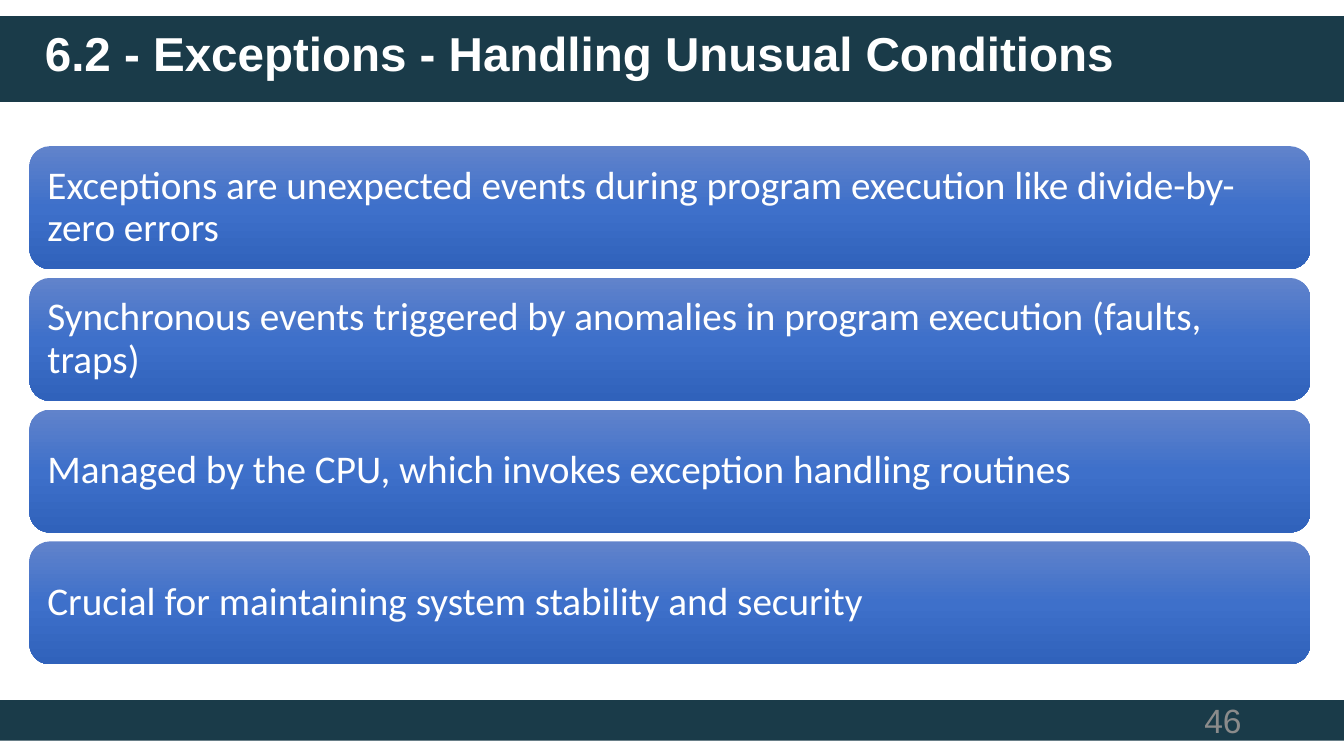
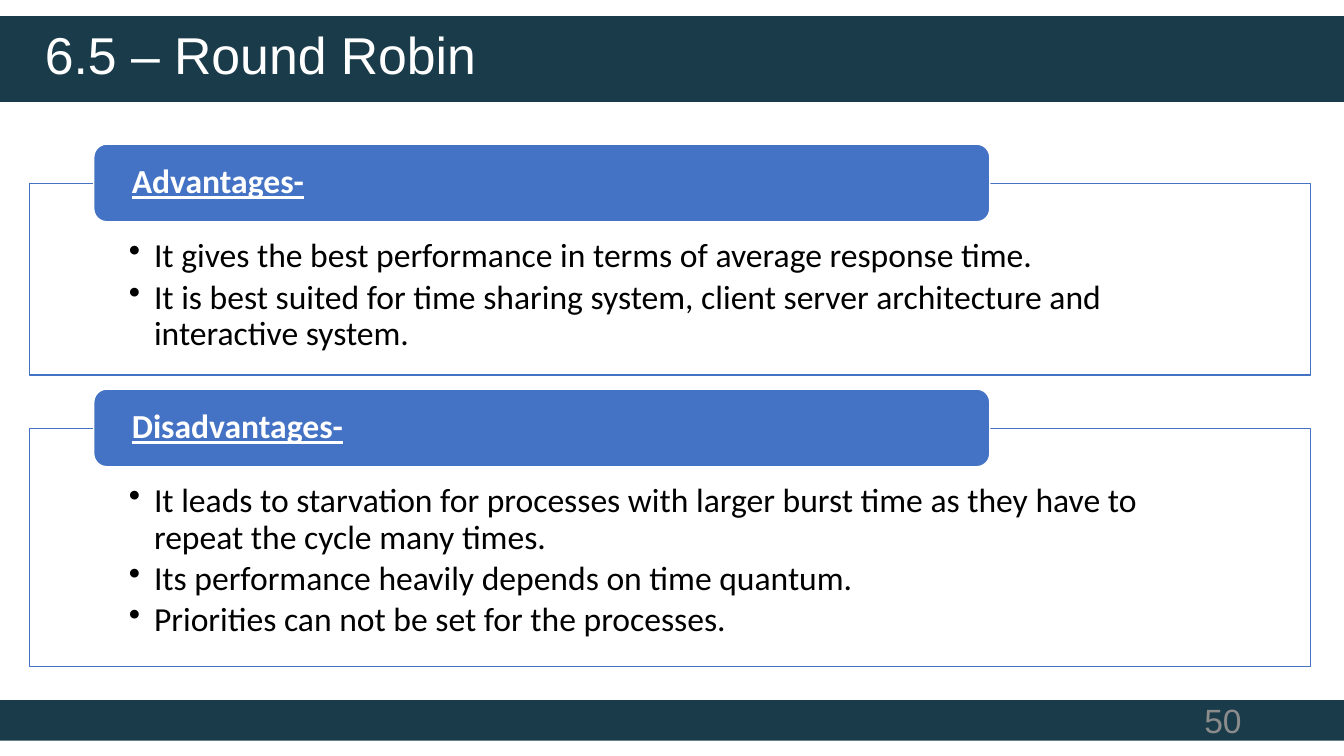
from copy import deepcopy

from lxml.etree import SubElement
from pptx import Presentation
from pptx.dml.color import RGBColor
from pptx.enum.shapes import MSO_SHAPE
from pptx.enum.text import MSO_ANCHOR, PP_ALIGN
from pptx.oxml.ns import qn
from pptx.util import Pt

colour = RGBColor.from_string
BAND, WHITE, BLACK, GREY, BLUE = "1A3B49", "FFFFFF", "000000", "8B8B8B", "4472C4"
GRADIENT = [(0, "6183CB"), (0.5, "3E70CA"), (1, "3062BB")]
HEADING_FONT, BODY_FONT = "Arial", "Calibri"
SLIDE_WIDTH, CONTENT_LEFT, CONTENT_WIDTH = 960, 21, 915


def add_panel(page, kind, left, top, width, height, fill, line=None):
    panel = page.shapes.add_shape(kind, Pt(left), Pt(top), Pt(width), Pt(height))
    panel.shadow.inherit = False
    if isinstance(fill, str):
        panel.fill.solid()
        panel.fill.fore_color.rgb = colour(fill)
    else:
        panel.fill.gradient()
        panel.fill.gradient_angle = 270
        first_stop = next(panel._element.iter(qn("a:gs")))
        first_stop.addnext(deepcopy(first_stop))
        for stop, (position, shade) in zip(panel.fill.gradient_stops, fill):
            stop.position = position
            stop.color.rgb = colour(shade)
    if line:
        panel.line.color.rgb = colour(line)
        panel.line.width = Pt(1)
    else:
        panel.line.fill.background()
    return panel


def write(box, *texts, size, color=WHITE, font=BODY_FONT, bold=False, underline=False,
          align=PP_ALIGN.LEFT, anchor=MSO_ANCHOR.MIDDLE, insets=(7.2, 3.6, 7.2, 3.6),
          spacing=0.9, after=0, bullet=None):
    frame = box.text_frame
    frame.word_wrap = True
    frame.vertical_anchor = anchor
    frame.margin_left, frame.margin_top, frame.margin_right, frame.margin_bottom = map(Pt, insets)
    for index, text in enumerate(texts):
        para = frame.add_paragraph() if index else frame.paragraphs[0]
        para.alignment = align
        para.line_spacing = spacing
        para.space_after = Pt(after)
        if bullet:
            properties = para._p.get_or_add_pPr()
            properties.set("marL", str(Pt(18)))
            properties.set("indent", str(-Pt(18)))
            SubElement(properties, qn("a:buChar"), char=bullet)
        span = para.add_run()
        span.text = text
        span.font.name = font
        span.font.size = Pt(size)
        span.font.bold = bold
        span.font.underline = underline
        span.font.color.rgb = colour(color)


deck = Presentation()
deck.slide_width, deck.slide_height = Pt(SLIDE_WIDTH), Pt(540)

pages = []
for title, title_size, title_bold, number in [
    ("6.2 - Exceptions - Handling Unusual Conditions", 34, True, "46"),
    ("6.5 – Round Robin", 37, False, "50"),
]:
    page = deck.slides.add_slide(deck.slide_layouts[6])
    for band_top, band_height in [(11.5, 61.2), (500, 29)]:
        add_panel(page, MSO_SHAPE.RECTANGLE, 0, band_top, SLIDE_WIDTH, band_height, BAND)
    number_box = page.shapes.add_textbox(Pt(678), Pt(500), Pt(216), Pt(29))
    write(number_box, number, size=24, color=GREY, font=HEADING_FONT,
          align=PP_ALIGN.RIGHT, spacing=1.0)
    title_box = page.shapes.add_textbox(Pt(25), Pt(18), Pt(828), Pt(49))
    write(title_box, title, size=title_size, font=HEADING_FONT, bold=title_bold,
          anchor=MSO_ANCHOR.TOP)
    pages.append(page)

exceptions_page, round_robin_page = pages

for row, statement in enumerate([
    "Exceptions are unexpected events during program execution like divide-by-zero errors",
    "Synchronous events triggered by anomalies in program execution (faults, traps)",
    "Managed by the CPU, which invokes exception handling routines",
    "Crucial for maintaining system stability and security",
]):
    card = add_panel(exceptions_page, MSO_SHAPE.ROUNDED_RECTANGLE, CONTENT_LEFT,
                     104.4 + row * 94.1, CONTENT_WIDTH, 87.8, GRADIENT)
    write(card, statement, size=28, insets=(8.6, 8.6, 8.6, 8.6))

for heading, top, height, points in [
    ("Advantages-", 131, 137, [
        "It gives the best performance in terms of average response time.",
        "It is best suited for time sharing system, client server architecture and "
        "interactive system.",
    ]),
    ("Disadvantages-", 306, 170, [
        "It leads to starvation for processes with larger burst time as they have to "
        "repeat the cycle many times.",
        "Its performance heavily depends on time quantum.",
        "Priorities can not be set for the processes.",
    ]),
]:
    frame_panel = add_panel(round_robin_page, MSO_SHAPE.RECTANGLE, CONTENT_LEFT, top,
                            CONTENT_WIDTH, height, WHITE, BLUE)
    write(frame_panel, *points, size=24, color=BLACK, anchor=MSO_ANCHOR.TOP,
          insets=(71, 39.6, 71, 13.7), after=3.5, bullet="•")
    tab = add_panel(round_robin_page, MSO_SHAPE.ROUNDED_RECTANGLE, 67, top - 28,
                    640, 55.4, BLUE, WHITE)
    write(tab, heading, size=24, bold=True, underline=True, insets=(24.5, 0, 24.5, 0))

deck.save("out.pptx")
